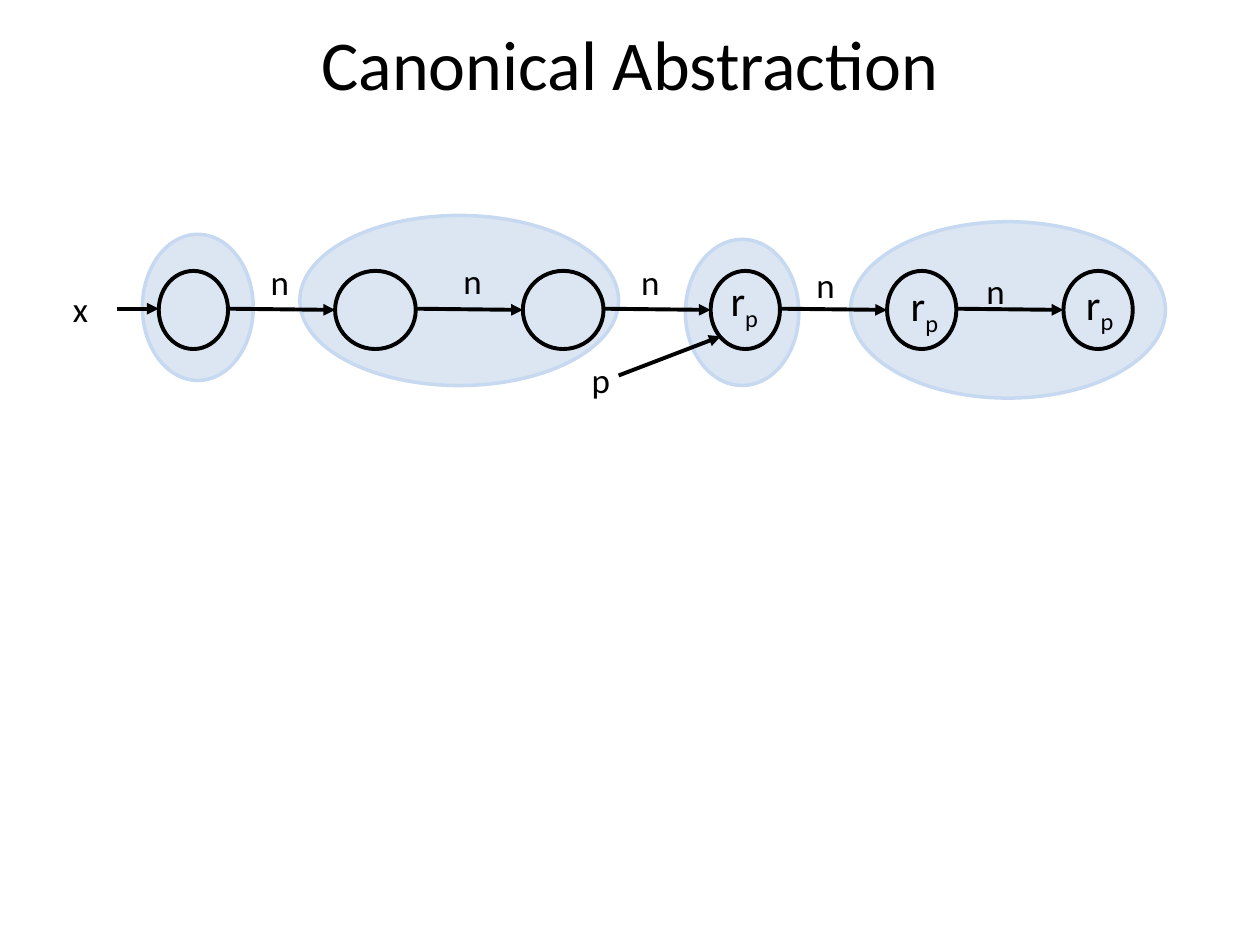
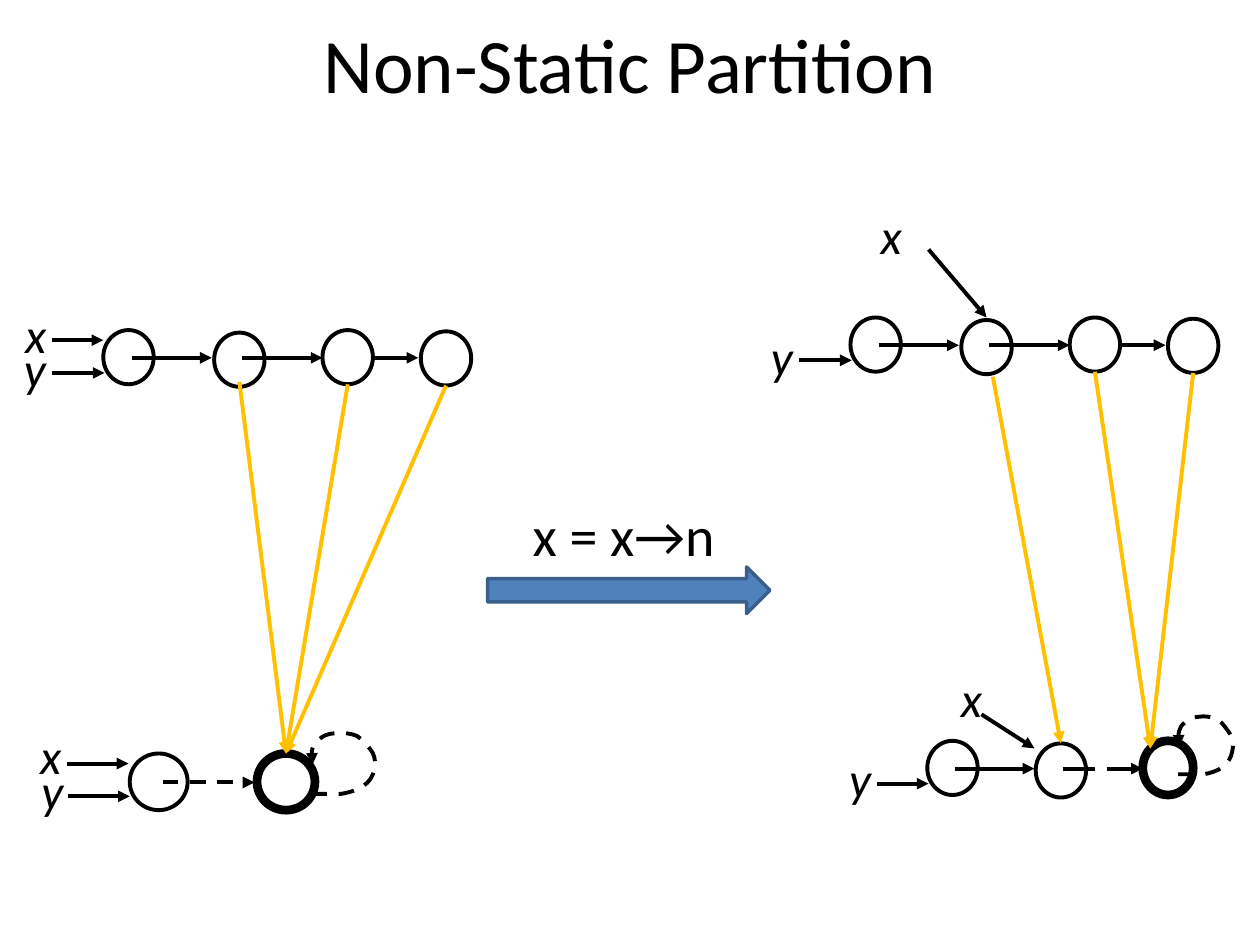
from itertools import pairwise

from lxml.etree import SubElement
from pptx import Presentation
from pptx.dml.color import RGBColor
from pptx.enum.dml import MSO_LINE
from pptx.enum.shapes import MSO_CONNECTOR, MSO_SHAPE
from pptx.enum.text import MSO_ANCHOR, MSO_AUTO_SIZE, PP_ALIGN
from pptx.oxml.ns import qn
from pptx.util import Pt

PX = 9144  # 100 px to the inch
HEX = {"ink": "000000", "zone": "DCE6F2", "rim": "C6D9F1",
       "map": "FFC000", "step": "4F81BD", "edge": "3A5F8C"}
FONT = {"name": "Calibri", "bold": False}
# start point, then cubic curves of three points each
LOOP = [(0, 49),
        (4, 49), (17, 49), (24, 49), (30, 48), (37, 46), (41, 43),
        (46, 40), (49, 35), (50, 30), (51, 26), (51, 21), (49, 17),
        (46, 12), (41, 6), (36, 3), (31, 1), (24, 0), (19, 1),
        (14, 1), (9, 3), (6, 6), (3, 8), (2, 10), (1, 13),
        (0, 17), (1, 24), (1, 26)]


def emu(*sizes):
    return [round(size * PX) for size in sizes]


def color(name):
    return RGBColor.from_string(HEX[name])


class Deck:
    def __init__(self):
        self.prs = Presentation()
        self.prs.slide_width, self.prs.slide_height = emu(1000, 750)

    def start(self, title, size):
        """Add a slide with its title."""
        self.slide = self.prs.slides.add_slide(self.prs.slide_layouts[5])
        self.shapes = self.slide.shapes
        head = self.shapes.title
        head.left, head.top, head.width, head.height = emu(50, 8, 900, 83)
        frame = head.text_frame
        frame.auto_size = MSO_AUTO_SIZE.NONE
        frame.vertical_anchor = MSO_ANCHOR.MIDDLE
        para = frame.paragraphs[0]
        para.alignment = PP_ALIGN.CENTER
        self.run(para, title, size)

    def run(self, para, text, size, **more):
        run = para.add_run()
        run.text = text
        for key, value in {**FONT, "size": Pt(size), **more}.items():
            setattr(run.font, key, value)
        run.font.color.rgb = color("ink")
        return run

    def text(self, box, text, size, sub="", align=PP_ALIGN.LEFT, **more):
        frame = self.shapes.add_textbox(*emu(*box)).text_frame
        frame.word_wrap = True
        para = frame.paragraphs[0]
        para.alignment = align
        self.run(para, text, size, **more)
        if sub:
            low = self.run(para, sub, size, **more)
            low.font._element.set("baseline", "-25000")

    def stroke(self, shape, ink="ink", width=2.25, dash=None, tip=False):
        line = shape.line
        line.color.rgb = color(ink)
        line.width = Pt(width)
        if dash:
            line.dash_style = dash
        if tip:
            SubElement(line._get_or_add_ln(), qn("a:tailEnd"), type="triangle")

    def paint(self, shape, fill=None, **pen):
        shape.shadow.inherit = False
        if fill:
            shape.fill.solid()
            shape.fill.fore_color.rgb = color(fill)
        else:
            shape.fill.background()
        self.stroke(shape, **pen)

    def shape(self, kind, box, **look):
        self.paint(self.shapes.add_shape(kind, *emu(*box)), **look)

    def oval(self, box, **look):
        self.shape(MSO_SHAPE.OVAL, box, **look)

    def arrow(self, x1, y1, x2, y2, **pen):
        line = self.shapes.add_connector(
            MSO_CONNECTOR.STRAIGHT, *emu(x1, y1, x2, y2))
        SubElement(line._element.spPr, qn("a:effectLst"))
        self.stroke(line, tip=True, **pen)

    def loop(self, left, top, wide=1, high=1):
        """Draw the dashed self-edge, joining line points into curves."""
        spots = [emu(left + x * wide, top + y * high) for x, y in LOOP]
        pen = self.shapes.build_freeform(*spots[0])
        pen.add_line_segments(spots[1:], close=False)
        shape = pen.convert_to_shape()
        steps = list(shape._element.iter(qn("a:lnTo")))
        for i in range(0, len(steps), 3):
            curve = SubElement(steps[i].getparent(), qn("a:cubicBezTo"))
            for step in steps[i:i + 3]:
                curve.append(step[0])
                step.getparent().remove(step)
        self.paint(shape, dash=MSO_LINE.DASH, tip=True)

    def name(self, x, y, text, align=PP_ALIGN.LEFT):
        """Put an italic variable name."""
        self.text((x, y, 38, 57), text, 28, align=align, italic=True)

    def chain(self, x, y):
        """Draw a concrete list of four cells with its y pointer."""
        for dx, dy in ((0, 0), (88, 2), (174, 0), (252, 1)):
            self.oval((x + dx, y + dy, 40, 43))
        for a, b in ((23, 86), (110, 174), (215, 250)):
            self.arrow(x + a, y + 22, x + b, y + 22)
        self.name(x - 73, y + 2, "y")
        self.arrow(x - 41, y + 34, x + 1, y + 34)


def canon(deck):
    deck.start("Canonical Abstraction", 40)
    for zone in ((113, 186, 88, 116), (238, 171, 253, 135),
                 (544, 190, 90, 116), (675, 176, 250, 140)):
        deck.oval(zone, fill="zone", ink="rim", width=2)
    nodes = [(126, 55), (266, 64), (415, 64), (564, 55), (704, 55), (844, 55)]
    for left, wide in nodes:
        deck.oval((left, 215, wide, 62))
    for (left, wide), (end, _) in pairwise(nodes):
        deck.arrow(left + wide, 245, end, 246)
    for x, y in ((205, 202), (358, 201), (499, 202), (638, 204), (773, 209)):
        deck.text((x, y, 32, 43), "n", 20)
    for x, y in ((570, 213), (713, 217), (852, 216)):
        deck.text((x, y, 56, 50), "r", 24, sub="p")
    deck.text((48, 223, 45, 43), "x", 20)
    deck.arrow(93, 245, 126, 245)
    deck.text((449, 280, 45, 43), "p", 20, align=PP_ALIGN.RIGHT)
    deck.arrow(491, 298, 572, 267)


def split(deck):
    deck.start("Non-Static Partition", 44)
    # concrete lists
    deck.chain(82, 262)
    deck.name(10, 237, "x")
    deck.arrow(41, 270, 82, 270)
    deck.chain(675, 252)
    deck.name(689, 158, "x")
    deck.arrow(737, 198, 783, 252)
    # abstract list before the step
    deck.oval((103, 598, 46, 45))
    deck.oval((204, 598, 46, 45), width=5)
    deck.arrow(129, 621, 202, 621, dash=MSO_LINE.DASH)
    deck.loop(247, 581)
    for text, x, y, end in (("x", 22, 571, 606), ("y", 23, 599, 632)):
        deck.name(x, y, text)
        deck.arrow(x + 31, end, x + 80, end)
    # abstract list after the step
    deck.oval((736, 588, 40, 43))
    deck.oval((822, 590, 40, 43))
    deck.oval((907, 588, 40, 43), width=5)
    deck.arrow(758, 610, 821, 610)
    deck.arrow(844, 610, 907, 610, dash=MSO_LINE.LONG_DASH)
    deck.loop(935, 568, 0.86, 0.95)
    deck.name(664, 589, "y")
    deck.arrow(696, 622, 737, 622)
    deck.name(752, 526, "x", PP_ALIGN.CENTER)
    deck.arrow(779, 567, 821, 594)
    # cells mapped to abstract nodes
    for ends in ((190, 303, 227, 598), (276, 305, 227, 598),
                 (354, 306, 227, 598), (788, 299, 842, 590),
                 (869, 295, 913, 594), (947, 296, 913, 594)):
        deck.arrow(*ends, ink="map")
    deck.text((413, 392, 216, 64), "x = x→n", 32)
    deck.shape(MSO_SHAPE.RIGHT_ARROW, (387, 450, 224, 37),
               fill="step", ink="edge", width=2)


def main():
    deck = Deck()
    canon(deck)
    split(deck)
    deck.prs.save("out.pptx")


if __name__ == "__main__":
    main()
